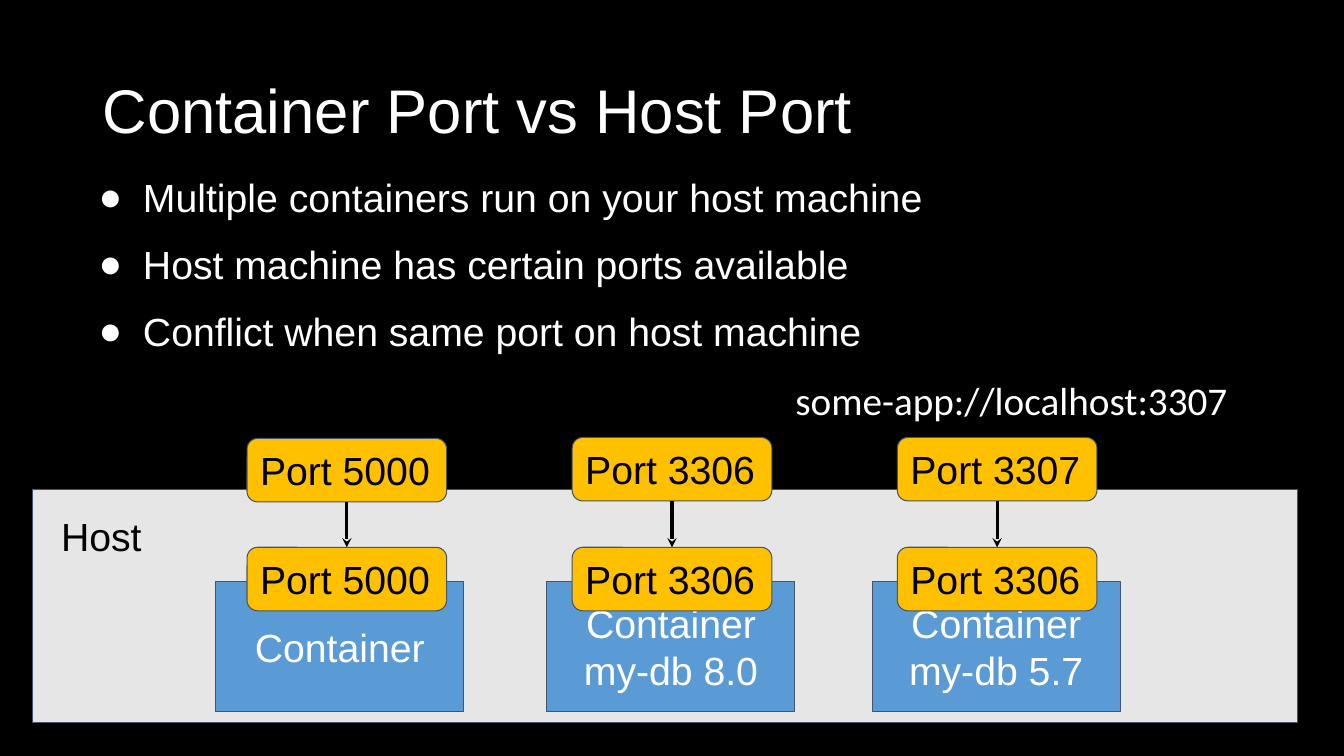
from lxml import etree
from pptx import Presentation
from pptx import util as u
from pptx.dml.color import RGBColor
from pptx.enum import shapes, text
from pptx.oxml.ns import qn

WIDE, HIGH = 13.33, 7.5
WHITE, BLACK, BLUE, GOLD, GREY, EDGE = (
    "FFFFFF", "000000", "5B9BD5", "FFC000", "E7E6E6", "44546A")
TITLE = "Container Port vs Host Port"
POINTS = [
    "Multiple containers run on your host machine",
    "Host machine has certain ports available",
    "Conflict when same port on host machine",
]
URL = "some-app://localhost:3307"
STACKS = [
    {"box": "Container", "outer": "Port 5000", "inner": "Port 5000", "shift": 0.31, "top": 4.35},
    {"box": "Container\nmy-db 8.0", "outer": "Port 3306", "inner": "Port 3306", "shift": 0.25, "top": 4.34},
    {"box": "Container\nmy-db 5.7", "outer": "Port 3307", "inner": "Port 3306", "shift": 0.25, "top": 4.34},
]
LEFT, STEP = 2.45, 3.225
PORT, BOX = (1.98, 0.63), (2.46, 1.29)
INNER, FLOOR = 5.43, 5.77
FIRST, PITCH = 1.67, 0.665

deck = Presentation()
deck.slide_width, deck.slide_height = u.Inches(WIDE), u.Inches(HIGH)
page = deck.slides.add_slide(deck.slide_layouts[6])


def hue(code):
    return RGBColor.from_string(code)


def node(parent, tag, **attrs):
    return etree.SubElement(parent, qn(tag), attrs)


def dot(para):
    props = para._p.get_or_add_pPr()
    props.set("marL", str(u.Inches(0.5)))
    props.set("indent", str(-u.Inches(0.44)))
    node(node(props, "a:buClr"), "a:srgbClr", val=WHITE)
    node(props, "a:buFont", typeface="Arial")
    node(props, "a:buChar", char="●")


def write(shape, words, size=28, font="Arial", color=WHITE, center=False,
          middle=False, pad=0.1, line=None, before=None, bullet=False):
    frame = shape.text_frame
    frame.word_wrap = True
    frame.margin_left = frame.margin_right = u.Inches(0.1)
    frame.margin_top = frame.margin_bottom = u.Inches(pad)
    frame.vertical_anchor = text.MSO_ANCHOR.MIDDLE if middle else text.MSO_ANCHOR.TOP
    frame.text = words
    for para in frame.paragraphs:
        para.alignment = text.PP_ALIGN.CENTER if center else text.PP_ALIGN.LEFT
        para.font.size, para.font.name = u.Pt(size), font
        para.font.color.rgb = hue(color)
        if line:
            para.line_spacing = line
        if before:
            para.space_before = u.Pt(before)
        if bullet:
            dot(para)


def label(words, x, y, w, h, **style):
    write(page.shapes.add_textbox(*map(u.Inches, (x, y, w, h))), words, **style)


def block(kind, x, y, w, h, fill):
    shape = page.shapes.add_shape(kind, *map(u.Inches, (x, y, w, h)))
    shape.shadow.inherit = False
    shape.fill.solid()
    shape.fill.fore_color.rgb = hue(fill)
    shape.line.color.rgb = hue(EDGE)
    shape.line.width = u.Pt(0.75)
    return shape


def port(words, x, y):
    shape = block(shapes.MSO_SHAPE.ROUNDED_RECTANGLE, x, y, *PORT, GOLD)
    write(shape, words, color=BLACK, middle=True)
    return shape


def arrow(start, end):
    link = page.shapes.add_connector(shapes.MSO_CONNECTOR.STRAIGHT, 0, 0, 0, 0)
    link.begin_connect(start, 2)
    link.end_connect(end, 0)
    link.line.color.rgb = hue(BLACK)
    link.line.width = u.Pt(2.25)
    node(link.line._get_or_add_ln(), "a:tailEnd", type="stealth")
    node(link._element.spPr, "a:effectLst")


page.background.fill.solid()
page.background.fill.fore_color.rgb = hue(BLACK)
label(TITLE, 0.92, 0.4, 11.5, 1.45, size=44, middle=True, pad=0.05, line=0.9)
for row, point in enumerate(POINTS):
    label(point, 0.82, FIRST + row * PITCH, 11.6, 0.63, line=0.9, before=10, bullet=True)

block(shapes.MSO_SHAPE.RECTANGLE, 0.32, 4.86, 12.55, 2.31, GREY)
label("Host", 0.29, 4.98, 1.43, 0.67, color=BLACK, center=True)
for col, stack in enumerate(STACKS):
    x = LEFT + col * STEP
    box = block(shapes.MSO_SHAPE.RECTANGLE, x - stack["shift"], FLOOR, *BOX, BLUE)
    write(box, stack["box"], center=True, middle=True)
    inner = port(stack["inner"], x, INNER)
    outer = port(stack["outer"], x, stack["top"])
    arrow(outer, inner)
label(URL, 7.79, 3.63, 4.82, 0.67, font="Calibri")

deck.save("out.pptx")
